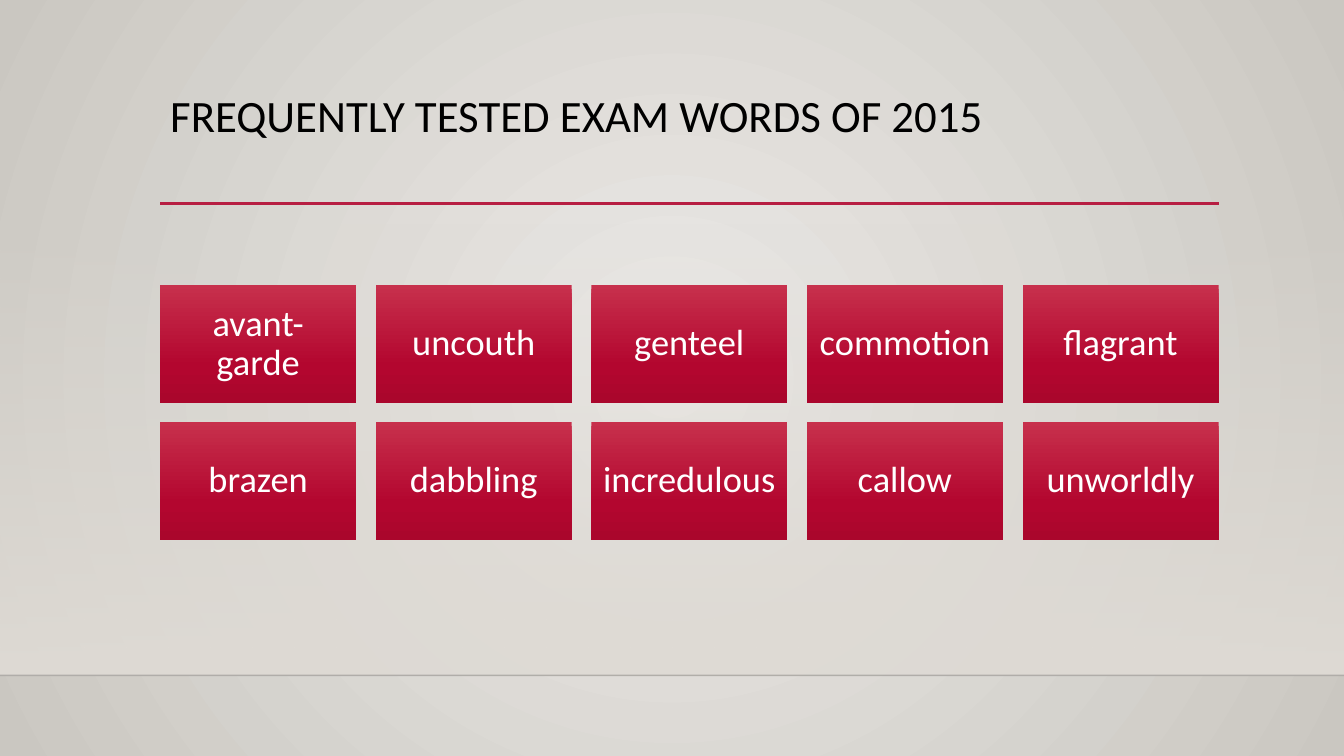
"""Build a slide with a grid of frequently tested exam words."""

from dataclasses import dataclass

from lxml import etree
from pptx import Presentation
from pptx.dml.color import RGBColor
from pptx.enum.shapes import MSO_CONNECTOR, MSO_SHAPE
from pptx.enum.text import MSO_ANCHOR, MSO_AUTO_SIZE, PP_ALIGN
from pptx.oxml.ns import qn
from pptx.shapes.autoshape import Shape
from pptx.slide import Slide
from pptx.text.text import TextFrame
from pptx.util import Pt

RECTANGLE = MSO_SHAPE.RECTANGLE
STRAIGHT = MSO_CONNECTOR.STRAIGHT
TOP, MIDDLE = MSO_ANCHOR.TOP, MSO_ANCHOR.MIDDLE
LEFT, CENTER = PP_ALIGN.LEFT, PP_ALIGN.CENTER
NO_AUTOFIT = MSO_AUTO_SIZE.NONE

COLORS = {
    "title": "000000",
    "word": "FFFFFF",
    "accent": "B71E42",
    "horizon": "000001",
    "wall": "DFDBD5",
    "glow": "ECEAE7",
    "edge": "CAC7C1",
    "tile_top": "C7304C",
    "tile_middle": "B3062F",
    "tile_bottom": "AA062C",
}
FONT = "Calibri"
SLIDE_WIDTH, SLIDE_HEIGHT = 960, 540
MARGIN_LEFT = 114.4
HORIZON_TOP = 482.4
WALL_TOP = 159.1
TILE_TOP, TILE_WIDTH, TILE_HEIGHT, TILE_GAP = 203.6, 140, 84, 14
TILE_INSET = 7.8
WORD_ROWS = (
    ("avant-garde", "uncouth", "genteel", "commotion", "flagrant"),
    ("brazen", "dabbling", "incredulous", "callow", "unworldly"),
)


@dataclass(frozen=True)
class GradientStop:
    """A colour at a percentage of a gradient."""

    position: int
    color: str
    opacity: int = 100


@dataclass(frozen=True)
class Rule:
    """A horizontal line across part of the slide."""

    left: float
    right: float
    top: float
    color: str
    width: float
    opacity: int = 100


@dataclass(frozen=True)
class Tile:
    """A word and the corner of its rectangle."""

    word: str
    left: float
    top: float


WALL_STOPS = (GradientStop(0, "wall", 0), GradientStop(100, "wall"))
BACKGROUND_STOPS = (GradientStop(0, "glow"), GradientStop(100, "edge"))
TILE_STOPS = (
    GradientStop(0, "tile_top"),
    GradientStop(69, "tile_middle"),
    GradientStop(100, "tile_bottom"),
)
RULES = (
    Rule(0, SLIDE_WIDTH, HORIZON_TOP, "horizon", 1, 20),
    Rule(MARGIN_LEFT, 870.9, 145.2, "accent", 2.5),
)
TILES = [
    Tile(
        word,
        MARGIN_LEFT + column * (TILE_WIDTH + TILE_GAP),
        TILE_TOP + row * (TILE_HEIGHT + TILE_GAP),
    )
    for row, words in enumerate(WORD_ROWS)
    for column, word in enumerate(words)
]


def add_opacity(color_element: etree._Element, opacity: int) -> None:
    """Set the opacity of a colour in percent."""
    etree.SubElement(color_element, qn("a:alpha")).set("val", str(opacity * 1000))


def replace_fill(
    owner: etree._Element, stops: tuple[GradientStop, ...], radial: bool = False
) -> None:
    """Replace the empty fill of an element by a gradient."""
    gradient = etree.Element(qn("a:gradFill"), rotWithShape="1")
    stop_list = etree.SubElement(gradient, qn("a:gsLst"))
    for stop in stops:
        entry = etree.SubElement(stop_list, qn("a:gs"), pos=str(stop.position * 1000))
        color = etree.SubElement(entry, qn("a:srgbClr"), val=COLORS[stop.color])
        if stop.opacity < 100:
            add_opacity(color, stop.opacity)
    if radial:
        circle = etree.SubElement(gradient, qn("a:path"), {"path": "circle"})
        center = dict.fromkeys("ltrb", "50000")
        etree.SubElement(circle, qn("a:fillToRect"), center)
    else:
        etree.SubElement(gradient, qn("a:lin"), ang="5400000", scaled="0")
    empty_fill = next(owner.iter(qn("a:noFill")))
    empty_fill.getparent().replace(empty_fill, gradient)


def add_gradient_rectangle(
    slide: Slide,
    left: float,
    top: float,
    width: float,
    height: float,
    stops: tuple[GradientStop, ...],
) -> Shape:
    """Add a rectangle without outline, shaded from top to bottom."""
    shape = slide.shapes.add_shape(
        RECTANGLE, Pt(left), Pt(top), Pt(width), Pt(height)
    )
    shape.shadow.inherit = False
    shape.fill.background()
    replace_fill(shape.element.spPr, stops)
    shape.line.fill.background()
    return shape


def write_text(
    frame: TextFrame, text: str, size: float, color: str, alignment: PP_ALIGN
) -> None:
    """Write one paragraph into a text frame."""
    frame.word_wrap = True
    frame.auto_size = NO_AUTOFIT
    paragraph = frame.paragraphs[0]
    paragraph.alignment = alignment
    paragraph.line_spacing = 0.9
    run = paragraph.add_run()
    run.text = text
    run.font.name = FONT
    run.font.size = Pt(size)
    run.font.color.rgb = RGBColor.from_string(COLORS[color])


def add_rule(slide: Slide, rule: Rule) -> None:
    """Draw a horizontal line."""
    connector = slide.shapes.add_connector(
        STRAIGHT, Pt(rule.left), Pt(rule.top), Pt(rule.right), Pt(rule.top)
    )
    connector.line.width = Pt(rule.width)
    connector.line.color.rgb = RGBColor.from_string(COLORS[rule.color])
    properties = connector.element.spPr
    if rule.opacity < 100:
        add_opacity(next(properties.iter(qn("a:srgbClr"))), rule.opacity)
    etree.SubElement(properties, qn("a:effectLst"))


def add_tile(slide: Slide, tile: Tile) -> None:
    """Draw a word on its rectangle."""
    shape = add_gradient_rectangle(
        slide, tile.left, tile.top, TILE_WIDTH, TILE_HEIGHT, TILE_STOPS
    )
    frame = shape.text_frame
    frame.margin_left = frame.margin_right = Pt(TILE_INSET)
    frame.margin_top = frame.margin_bottom = Pt(TILE_INSET)
    frame.vertical_anchor = MIDDLE
    write_text(frame, tile.word, 26, "word", CENTER)


def main() -> None:
    """Build and save the presentation."""
    presentation = Presentation()
    presentation.slide_width = Pt(SLIDE_WIDTH)
    presentation.slide_height = Pt(SLIDE_HEIGHT)
    slide = presentation.slides.add_slide(presentation.slide_layouts[5])
    slide.background.fill.background()
    replace_fill(slide.element, BACKGROUND_STOPS, radial=True)
    title = slide.shapes.title
    title.left, title.top = Pt(MARGIN_LEFT), Pt(63.4)
    title.width, title.height = Pt(756), Pt(82.8)
    title.text_frame.vertical_anchor = TOP
    write_text(
        title.text_frame, "FREQUENTLY TESTED EXAM WORDS OF 2015", 32, "title", LEFT
    )
    add_gradient_rectangle(
        slide, 0, WALL_TOP, SLIDE_WIDTH, HORIZON_TOP - WALL_TOP, WALL_STOPS
    )
    for rule in RULES:
        add_rule(slide, rule)
    for tile in TILES:
        add_tile(slide, tile)
    presentation.save("out.pptx")


if __name__ == "__main__":
    main()
